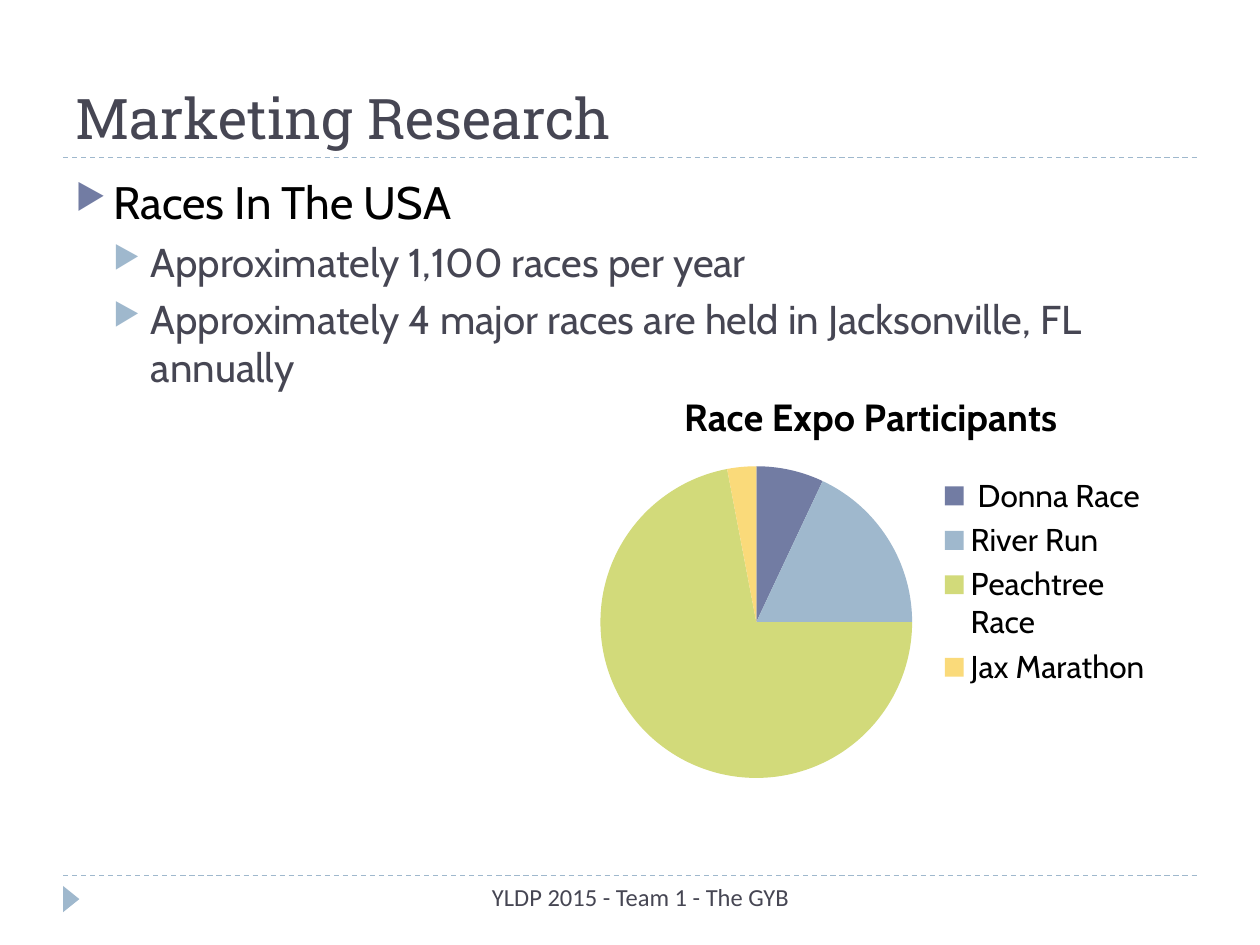
from lxml.etree import SubElement
from pptx import Presentation
from pptx.chart.data import CategoryChartData
from pptx.dml.color import RGBColor
from pptx.enum.chart import XL_CHART_TYPE as Chart, XL_LEGEND_POSITION as Legend
from pptx.enum.dml import MSO_LINE
from pptx.enum.shapes import MSO_CONNECTOR, MSO_SHAPE
from pptx.enum.text import MSO_ANCHOR, PP_ALIGN
from pptx.oxml.ns import qn
from pptx.util import Cm, Pt

INK, BLUE, PALE = "464653", "727CA3", "9FB8CD"
TITLE = dict(name="Roboto Slab", size=Pt(32), bold=False)
TOPIC = dict(name="Cabin", size=Pt(26))
DETAIL = dict(name="Cabin", size=Pt(23))
FOOTER = dict(name="Calibri", size=Pt(14))
LEGEND = dict(name="Cabin", size=Pt(18), bold=False)
CHART_TITLE = dict(name="Cabin", size=Pt(21.6), bold=True)
POINTS = [
    ("Topic", "Races In The USA"),
    ("Detail", "Approximately 1,100 races per year"),
    ("Detail", "Approximately 4 major races are held in Jacksonville, FL annually"),
]
LEVELS = {
    "Topic": (0, 0, TOPIC, "000000", BLUE),
    "Detail": (1, 5, DETAIL, INK, PALE),
}
RACES = [
    (" Donna Race", 7, BLUE),
    ("River Run", 18, PALE),
    ("Peachtree Race", 72, "D2DA7A"),
    ("Jax Marathon", 3, "FADA7A"),
]


def rgb(value):
    """Turn a hex string into a colour."""
    return RGBColor.from_string(value)


def style(font, values, color):
    """Apply format values and a colour to a font."""
    for key, value in values.items():
        setattr(font, key, value)
    font.color.rgb = rgb(color)


def child(parent, tag, **attrs):
    """Add an XML element with attributes."""
    return SubElement(parent, qn(tag), {k: str(v) for k, v in attrs.items()})


def add_bullet(p, level, color):
    """Give a paragraph a hanging triangle bullet."""
    step = Cm(0.76)
    pPr = p._p.get_or_add_pPr()
    pPr.set("marL", str(step * (level + 1)))
    pPr.set("indent", str(-step))
    child(child(pPr, "a:buClr"), "a:srgbClr", val=color)
    child(pPr, "a:buSzPct", val=76000)
    child(pPr, "a:buChar", char="▶")


def add_rule(s, x, y, w):
    """Draw a dashed horizontal rule."""
    sp = s.shapes.add_connector(MSO_CONNECTOR.STRAIGHT, x, y, x + w, y)
    sp.line.color.rgb = rgb(PALE)
    sp.line.width = Pt(0.75)
    sp.line.dash_style = MSO_LINE.DASH
    child(sp._element.spPr, "a:effectLst")


def add_header(s, x, y, w, h):
    """Place the title with a rule along its lower edge."""
    sp = s.shapes.title
    sp.left, sp.top, sp.width, sp.height = x, y, w, h
    tf = sp.text_frame
    tf.vertical_anchor = MSO_ANCHOR.BOTTOM
    tf.text = "Marketing Research"
    p = tf.paragraphs[0]
    p.alignment = PP_ALIGN.LEFT
    style(p.runs[0].font, TITLE, INK)
    add_rule(s, x, y + h, w)


def add_points(s, x, y, w, h):
    """Write the bulleted points."""
    tf = s.shapes.add_textbox(x, y, w, h).text_frame
    tf.word_wrap = True
    for i, (kind, text) in enumerate(POINTS):
        level, before, values, color, bullet = LEVELS[kind]
        p = tf.paragraphs[0] if i == 0 else tf.add_paragraph()
        p.level = level
        p.space_before = Pt(before)
        add_bullet(p, level, bullet)
        r = p.add_run()
        r.text = text
        style(r.font, values, color)


def add_race_chart(s, x, y, w, h):
    """Place the pie chart of race participants."""
    data = CategoryChartData()
    data.categories = [name for name, _, _ in RACES]
    data.add_series("Series 1", [value for _, value, _ in RACES])
    chart = s.shapes.add_chart(Chart.PIE, x, y, w, h, data).chart
    style(chart.font, LEGEND, "000000")
    chart.has_title = True
    tf = chart.chart_title.text_frame
    tf.text = "Race Expo Participants"
    style(tf.paragraphs[0].runs[0].font, CHART_TITLE, "000000")
    chart.has_legend = True
    chart.legend.position = Legend.RIGHT
    chart.legend.include_in_layout = False
    plot = chart.plots[0]
    plot.vary_by_categories = True
    for i, (_, _, color) in enumerate(RACES):
        fill = plot.series[0].points[i].format.fill
        fill.solid()
        fill.fore_color.rgb = rgb(color)
    area = chart._chartSpace.chart.plotArea
    for old in area.findall(qn("c:layout")):
        area.remove(old)
    layout = child(area, "c:layout")
    area.insert(0, layout)
    manual = child(layout, "c:manualLayout")
    child(manual, "c:layoutTarget", val="inner")
    for tag, value in dict(xMode="edge", yMode="edge", x=0.04, y=0.23, w=0.53, h=0.73).items():
        child(manual, f"c:{tag}", val=value)


def add_footer(s, x, y, w, h):
    """Place the footer rule, marker and centred text."""
    add_rule(s, x, y, w)
    sp = s.shapes.add_shape(MSO_SHAPE.ISOSCELES_TRIANGLE, x - Cm(0.1), y + Cm(0.31), Cm(0.53), Cm(0.33))
    sp.rotation = 90
    sp.shadow.inherit = False
    sp.fill.solid()
    sp.fill.fore_color.rgb = rgb(PALE)
    sp.line.fill.background()
    tf = s.shapes.add_textbox(x + Cm(6.78), y, Cm(9.73), h).text_frame
    tf.word_wrap = True
    p = tf.paragraphs[0]
    p.alignment = PP_ALIGN.CENTER
    r = p.add_run()
    r.text = "YLDP 2015 - Team 1 - The GYB"
    style(r.font, FOOTER, INK)


def main():
    """Build and save the slide."""
    prs = Presentation()
    prs.slide_width, prs.slide_height = Cm(25.4), Cm(19.05)
    s = prs.slides.add_slide(prs.slide_layouts[5])
    left, width = Cm(1.27), Cm(22.86)
    add_header(s, left, Cm(0.43), width, Cm(2.74))
    add_points(s, left, Cm(3.38), width, Cm(13.72))
    add_footer(s, left, Cm(17.65), width, Cm(1.02))
    add_race_chart(s, Cm(11.63), Cm(7.42), Cm(11.86), Cm(8.61))
    prs.save("out.pptx")


if __name__ == "__main__":
    main()
